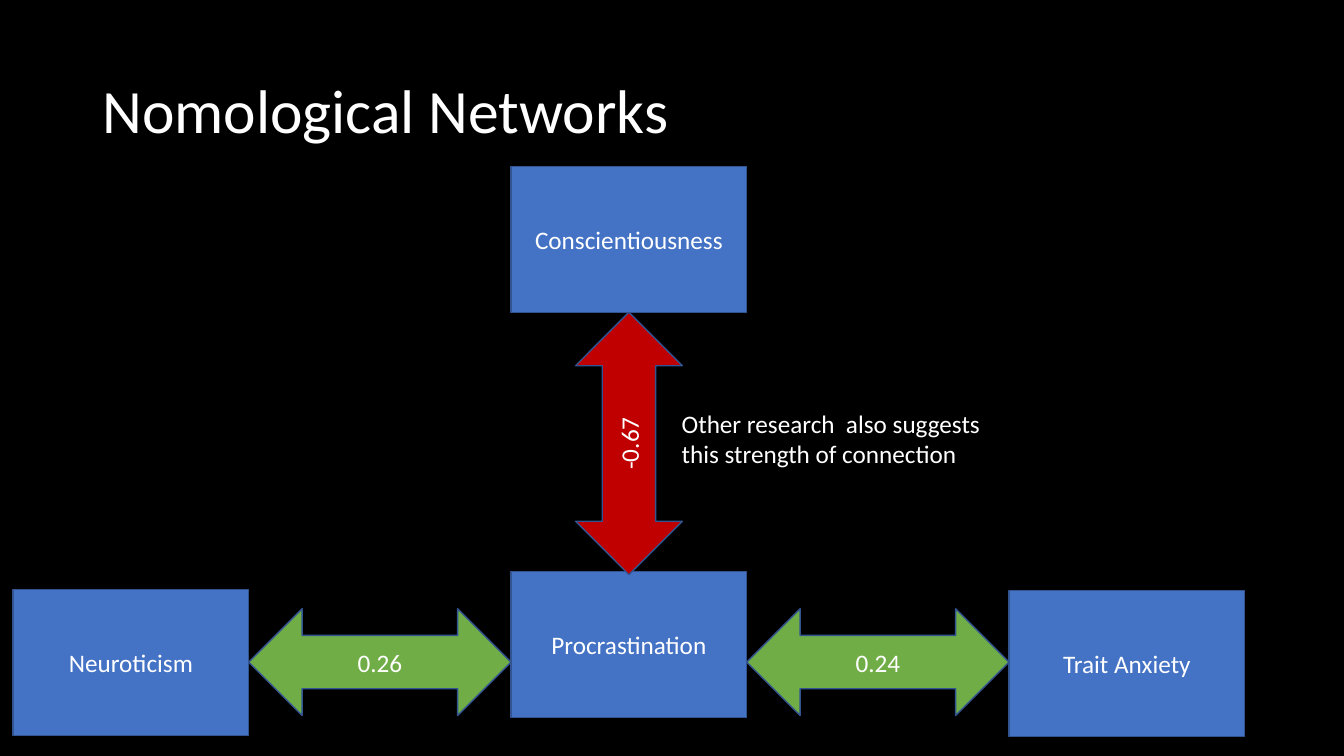
from pptx import Presentation
from pptx.dml.color import RGBColor
from pptx.enum.shapes import MSO_SHAPE
from pptx.enum.text import MSO_ANCHOR, PP_ALIGN
from pptx.util import Cm, Pt

TITLE = "Nomological Networks"
NOTE = ["Other research  also suggests", "this strength of connection"]
BOXES = [
    ("Procrastination", 1, 14.4),
    ("Conscientiousness", 1, 4.19),
    ("Neuroticism", 0, 14.86),
    ("Trait Anxiety", 2, 14.88),
]
SIDE_ARROWS = [("0.26", 0), ("0.24", 1)]
UPRIGHT_VALUE = "-0.67"

BLACK = RGBColor(0x00, 0x00, 0x00)
WHITE = RGBColor(0xFF, 0xFF, 0xFF)
BLUE = RGBColor(0x44, 0x72, 0xC4)
EDGE = RGBColor(0x32, 0x54, 0x91)
RED = RGBColor(0xC0, 0x00, 0x00)
GREEN = RGBColor(0x70, 0xAD, 0x47)

LEFT = 0.33
BOX_W, BOX_H = 5.94, 3.68
ARROW_W, ARROW_H = 6.61, 2.69
PITCH = BOX_W + ARROW_W
SIDE_ARROW_TOP = 15.34
UPRIGHT_TOP = 9.83


def write(tf, lines, size=18, align=PP_ALIGN.LEFT, anchor=MSO_ANCHOR.MIDDLE):
    tf.word_wrap = True
    tf.vertical_anchor = anchor
    for i, line in enumerate(lines):
        p = tf.add_paragraph() if i else tf.paragraphs[0]
        p.text = line
        p.alignment = align
        p.font.size = Pt(size)
        p.font.name = "Calibri"
        p.font.color.rgb = WHITE


def add_node(kind, label, left, top, width, height, fill):
    sp = s.shapes.add_shape(kind, Cm(left), Cm(top), Cm(width), Cm(height))
    sp.shadow.inherit = False
    sp.fill.solid()
    sp.fill.fore_color.rgb = fill
    sp.line.color.rgb = EDGE
    sp.line.width = Pt(1)
    write(sp.text_frame, [label], align=PP_ALIGN.CENTER)
    return sp


def add_arrow(label, left, top, fill):
    return add_node(MSO_SHAPE.LEFT_RIGHT_ARROW, label, left, top, ARROW_W, ARROW_H, fill)


prs = Presentation()
prs.slide_width, prs.slide_height = Cm(33.87), Cm(19.05)
s = prs.slides.add_slide(prs.slide_layouts[6])
s.background.fill.solid()
s.background.fill.fore_color.rgb = BLACK

title = s.shapes.add_textbox(Cm(2.33), Cm(1.01), Cm(29.21), Cm(3.68))
write(title.text_frame, [TITLE], size=44)
title.text_frame.paragraphs[0].line_spacing = 0.9

for label, column, top in BOXES:
    add_node(MSO_SHAPE.RECTANGLE, label, LEFT + column * PITCH, top, BOX_W, BOX_H, BLUE)

for label, column in SIDE_ARROWS:
    add_arrow(label, LEFT + column * PITCH + BOX_W, SIDE_ARROW_TOP, GREEN)

middle = LEFT + PITCH + BOX_W / 2
upright = add_arrow(UPRIGHT_VALUE, middle - ARROW_W / 2, UPRIGHT_TOP, RED)
upright.rotation = 270

note = s.shapes.add_textbox(Cm(16.93), Cm(10.16), Cm(8.13), Cm(1.8))
write(note.text_frame, NOTE, anchor=MSO_ANCHOR.TOP)
note.text_frame.word_wrap = False

prs.save("out.pptx")
